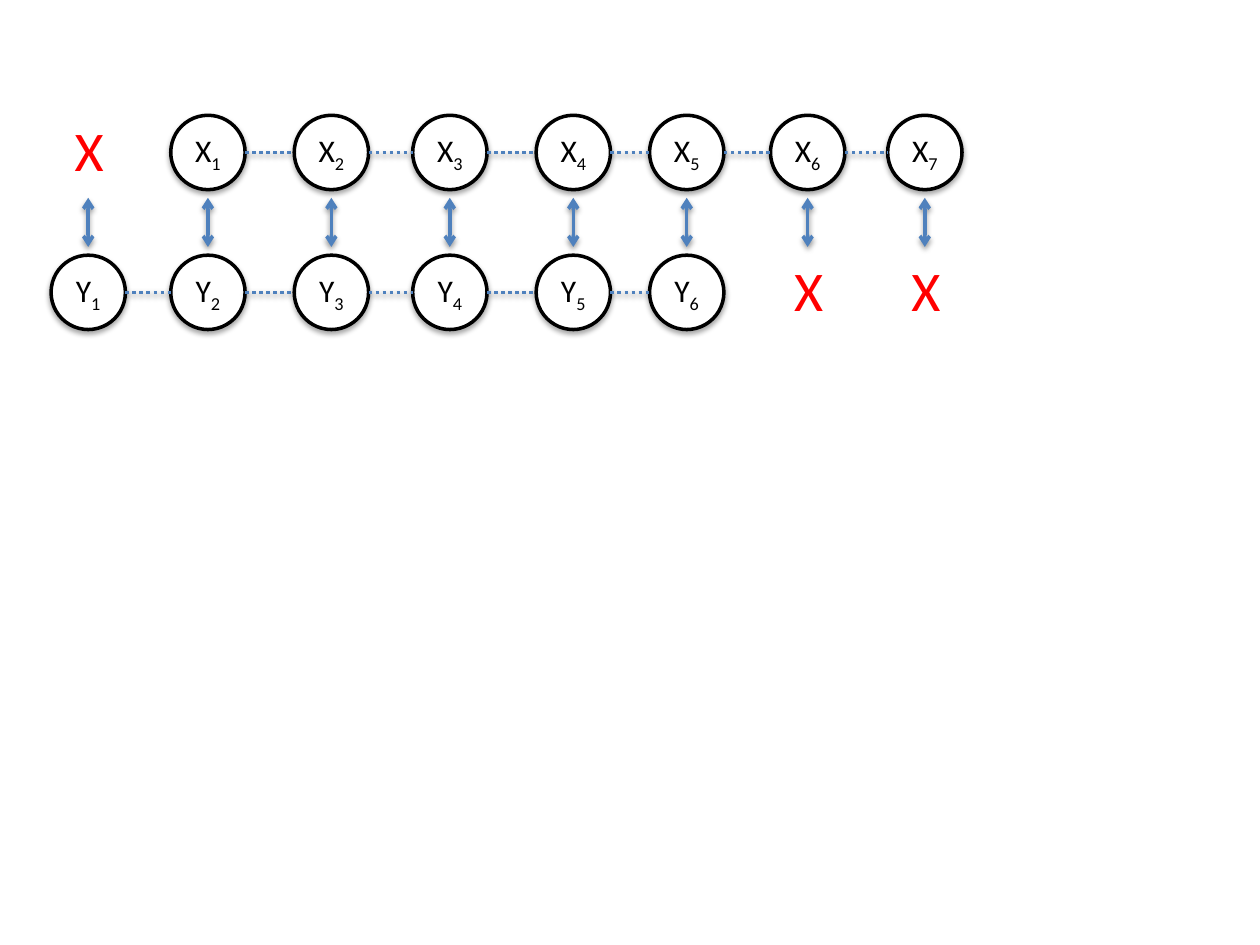
from dataclasses import dataclass
from itertools import pairwise

from lxml import etree
from pptx import Presentation
from pptx.dml.color import RGBColor
from pptx.enum.dml import MSO_LINE
from pptx.enum.shapes import MSO_CONNECTOR, MSO_SHAPE
from pptx.enum.text import MSO_ANCHOR, MSO_AUTO_SIZE, PP_ALIGN
from pptx.oxml.ns import qn
from pptx.util import Inches, Pt

CIRCLE = MSO_SHAPE.OVAL
STRAIGHT = MSO_CONNECTOR.STRAIGHT
DOTTED = MSO_LINE.ROUND_DOT
CENTER, LEFT = PP_ALIGN.CENTER, PP_ALIGN.LEFT
MIDDLE, TOP = MSO_ANCHOR.MIDDLE, MSO_ANCHOR.TOP

# One entry per column; None is a position without a partner.
SEQUENCES = {
    "X": [None, 1, 2, 3, 4, 5, 6, 7],
    "Y": [1, 2, 3, 4, 5, 6, None, None],
}
GAP_MARK = "X"

# Grid in inches
COLUMN_CENTERS = [0.7, 1.65, 2.63, 3.57, 4.55, 5.45, 6.41, 7.34]
ROW_CENTERS = {"X": 1.21, "Y": 2.32}
DIAMETER = 0.59
MARK_WIDTH, MARK_HEIGHT = 0.43, 0.64
MARK_SHIFT_X, MARK_SHIFT_Y = 0.01, -0.02
ARROW_CLEARANCE = 0.36


@dataclass(frozen=True)
class Theme:
    font: str = "Calibri"
    ink: RGBColor = RGBColor(0, 0, 0)
    paper: RGBColor = RGBColor(255, 255, 255)
    link: RGBColor = RGBColor(0x4F, 0x81, 0xBD)
    gap: RGBColor = RGBColor(255, 0, 0)
    label_size: int = 18
    mark_size: int = 32
    line_width: int = 2


THEME = Theme()


def add_shadow(shape, opacity, distance):
    """Give the shape a soft black shadow that falls straight down."""
    properties = shape._element.spPr
    effects = properties.find(qn("a:effectLst"))
    if effects is None:
        effects = etree.SubElement(properties, qn("a:effectLst"))
    shadow = etree.SubElement(
        effects, qn("a:outerShdw"), blurRad=str(Pt(3.1)), dist=str(Pt(distance)),
        dir="5400000", rotWithShape="0")
    color = etree.SubElement(shadow, qn("a:srgbClr"), val=str(THEME.ink))
    etree.SubElement(color, qn("a:alpha"), val=str(opacity * 1000))


def write_text(shape, text, subscript="", size=THEME.label_size, color=THEME.ink,
               align=CENTER, anchor=MIDDLE):
    frame = shape.text_frame
    frame.vertical_anchor = anchor
    paragraph = frame.paragraphs[0]
    paragraph.alignment = align
    for part in filter(None, (text, subscript)):
        run = paragraph.add_run()
        run.text = part
        run.font.name = THEME.font
        run.font.size = Pt(size)
        run.font.color.rgb = color
    if subscript:
        run.font._element.set("baseline", "-25000")


def add_node(slide, letter, number, x, y):
    node = slide.shapes.add_shape(
        CIRCLE, Inches(x - DIAMETER / 2), Inches(y - DIAMETER / 2),
        Inches(DIAMETER), Inches(DIAMETER))
    node.fill.solid()
    node.fill.fore_color.rgb = THEME.paper
    node.line.color.rgb = THEME.ink
    node.line.width = Pt(THEME.line_width)
    node.shadow.inherit = False
    add_shadow(node, opacity=35, distance=1.8)
    node.text_frame.word_wrap = True
    write_text(node, letter, subscript=str(number))


def add_gap_mark(slide, x, y):
    mark = slide.shapes.add_textbox(
        Inches(x + MARK_SHIFT_X - MARK_WIDTH / 2),
        Inches(y + MARK_SHIFT_Y - MARK_HEIGHT / 2),
        Inches(MARK_WIDTH), Inches(MARK_HEIGHT))
    mark.text_frame.word_wrap = False
    mark.text_frame.auto_size = MSO_AUTO_SIZE.SHAPE_TO_FIT_TEXT
    write_text(mark, GAP_MARK, size=THEME.mark_size, color=THEME.gap,
               align=LEFT, anchor=TOP)


def add_link(slide, start, end, dash=None, arrows=False):
    link = slide.shapes.add_connector(STRAIGHT, *map(Inches, start + end))
    link.line.color.rgb = THEME.link
    link.line.width = Pt(THEME.line_width)
    if dash:
        link.line.dash_style = dash
    if arrows:
        outline = link._element.spPr.find(qn("a:ln"))
        for tag in ("a:headEnd", "a:tailEnd"):
            etree.SubElement(outline, qn(tag), type="arrow")
    add_shadow(link, opacity=38, distance=1.6)


def main():
    presentation = Presentation()
    presentation.slide_width, presentation.slide_height = Inches(10), Inches(7.5)
    slide = presentation.slides.add_slide(presentation.slide_layouts[6])

    for letter, numbers in SEQUENCES.items():
        y = ROW_CENTERS[letter]
        positions = list(zip(COLUMN_CENTERS, numbers))
        for x, number in positions:
            if number:
                add_node(slide, letter, number, x, y)
            else:
                add_gap_mark(slide, x, y)
        for (x, number), (next_x, next_number) in pairwise(positions):
            if number and next_number:
                add_link(slide, (x + DIAMETER / 2, y), (next_x - DIAMETER / 2, y),
                         dash=DOTTED)

    top = ROW_CENTERS["X"] + ARROW_CLEARANCE
    bottom = ROW_CENTERS["Y"] - ARROW_CLEARANCE
    for x in COLUMN_CENTERS:
        add_link(slide, (x, top), (x, bottom), arrows=True)

    presentation.save("out.pptx")


if __name__ == "__main__":
    main()
